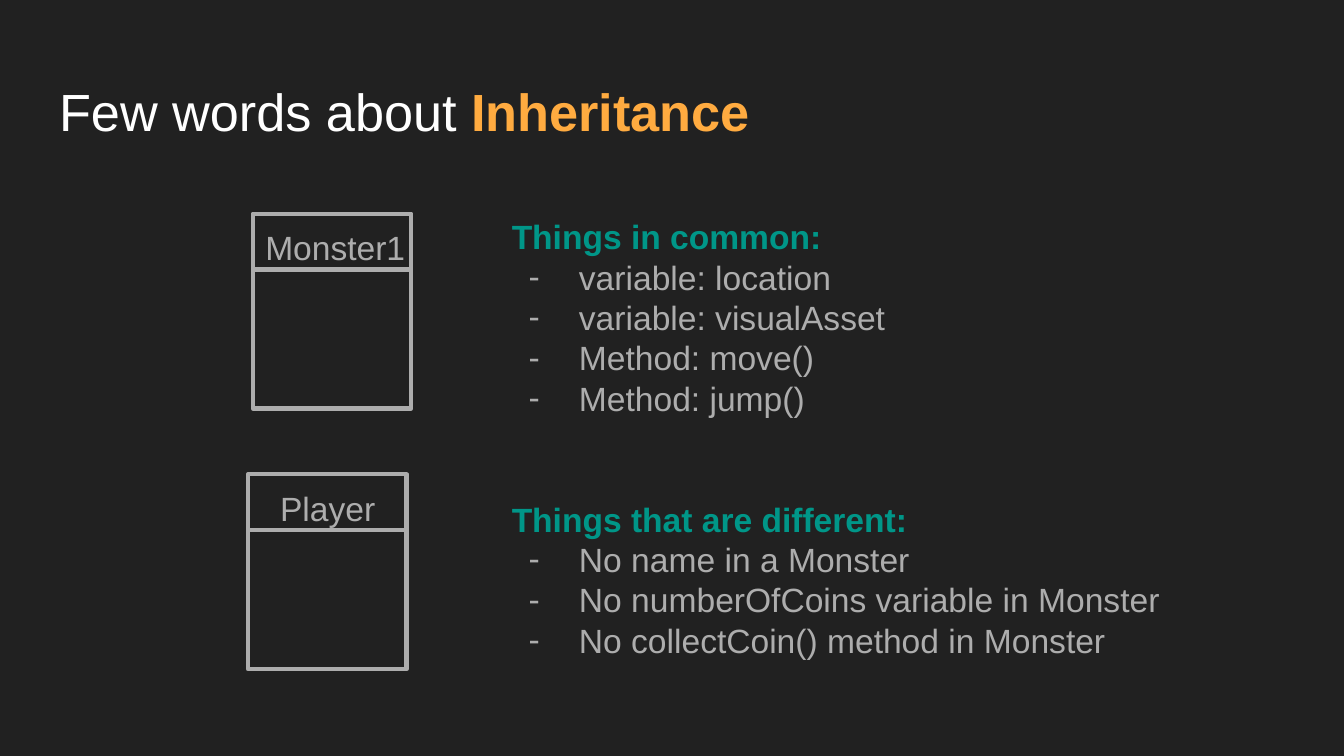
from lxml import etree
from pptx import Presentation
from pptx import util as u
from pptx.dml.color import RGBColor
from pptx.enum import shapes, text
from pptx.oxml.ns import qn

PX = u.Inches(1) // 200
FONT = "Arial"
BACKGROUND = RGBColor(0x21, 0x21, 0x21)
WHITE = RGBColor(0xFF, 0xFF, 0xFF)
ORANGE = RGBColor(0xFF, 0xAB, 0x40)
GREY = RGBColor(0xAD, 0xAD, 0xAD)
TEAL = RGBColor(0x00, 0x96, 0x88)

TITLE = [("Few words about ", WHITE, False), ("Inheritance", ORANGE, True)]
# name, box left and top, label left and width, label alignment
CLASSES = [
    ("Monster1", 376, 318, 369, 260, text.PP_ALIGN.CENTER),
    ("Player", 369, 706, 397, 210, text.PP_ALIGN.LEFT),
]
SECTIONS = [
    ("Things in common:", [
        "variable: location",
        "variable: visualAsset",
        "Method: move()",
        "Method: jump()",
    ]),
    ("Things that are different:", [
        "No name in a Monster",
        "No numberOfCoins variable in Monster",
        "No collectCoin() method in Monster",
    ]),
]
BOX_WIDTH, BOX_HEIGHT, HEADER_HEIGHT = 236, 290, 83
TITLE_SIZE, BODY_SIZE = 28, 18
LINE_RATIO = 1.2


def px(*lengths):
    return [length * PX for length in lengths]


def prepare_frame(frame):
    frame.word_wrap = True
    frame.auto_size = text.MSO_AUTO_SIZE.NONE
    frame.vertical_anchor = text.MSO_ANCHOR.TOP
    frame.margin_left = frame.margin_right = 20 * PX
    frame.margin_top = frame.margin_bottom = 20 * PX


def add_run(paragraph, words, size, color, bold=False):
    run = paragraph.add_run()
    run.text = words
    run.font.name = FONT
    run.font.size = u.Pt(size)
    run.font.color.rgb = color
    run.font.bold = bold
    paragraph.line_spacing = u.Pt(size * LINE_RATIO)


def add_dash(paragraph):
    properties = paragraph._p.get_or_add_pPr()
    properties.set("marL", str(100 * PX))
    properties.set("indent", str(-75 * PX))
    color = etree.SubElement(properties, qn("a:buClr"))
    etree.SubElement(color, qn("a:srgbClr"), val=str(GREY))
    etree.SubElement(properties, qn("a:buSzPts"), val=str(BODY_SIZE * 100))
    etree.SubElement(properties, qn("a:buFont"), typeface=FONT)
    etree.SubElement(properties, qn("a:buChar"), char="-")


def style_line(shape):
    shape.line.color.rgb = GREY
    shape.line.width = u.Pt(2.25)
    etree.SubElement(shape.line._get_or_add_ln(), qn("a:round"))


def add_text_box(slide, left, top, width, height):
    frame = slide.shapes.add_textbox(*px(left, top, width, height)).text_frame
    prepare_frame(frame)
    return frame


def add_class(slide, name, left, top, label_left, label_width, alignment):
    box = slide.shapes.add_shape(
        shapes.MSO_SHAPE.RECTANGLE, *px(left, top, BOX_WIDTH, BOX_HEIGHT))
    box.shadow.inherit = False
    box.fill.background()
    style_line(box)

    divider_y = top + HEADER_HEIGHT
    divider = slide.shapes.add_connector(
        shapes.MSO_CONNECTOR.STRAIGHT,
        *px(left + 2, divider_y, left + BOX_WIDTH, divider_y))
    style_line(divider)
    etree.SubElement(divider._element.spPr, qn("a:effectLst"))

    label = add_text_box(slide, label_left, top, label_width, 66).paragraphs[0]
    label.alignment = alignment
    add_run(label, name, BODY_SIZE, GREY)


def add_sections(slide):
    frame = add_text_box(slide, 742, 302, 1128, 776)
    for index, (heading, items) in enumerate(SECTIONS):
        paragraph = frame.add_paragraph() if index else frame.paragraphs[0]
        if index:
            paragraph.space_before = u.Pt(2 * BODY_SIZE * LINE_RATIO)
        add_run(paragraph, heading, BODY_SIZE, TEAL, True)
        for item in items:
            paragraph = frame.add_paragraph()
            add_dash(paragraph)
            add_run(paragraph, item, BODY_SIZE, GREY)


def main():
    presentation = Presentation()
    presentation.slide_width, presentation.slide_height = px(2000, 1125)
    slide = presentation.slides.add_slide(presentation.slide_layouts[5])
    slide.background.fill.solid()
    slide.background.fill.fore_color.rgb = BACKGROUND

    title = slide.shapes.title
    title.left, title.top, title.width, title.height = px(68, 98, 1864, 126)
    prepare_frame(title.text_frame)
    paragraph = title.text_frame.paragraphs[0]
    paragraph.alignment = text.PP_ALIGN.LEFT
    for words, color, bold in TITLE:
        add_run(paragraph, words, TITLE_SIZE, color, bold)

    for entry in CLASSES:
        add_class(slide, *entry)
    add_sections(slide)
    presentation.save("out.pptx")


if __name__ == "__main__":
    main()
